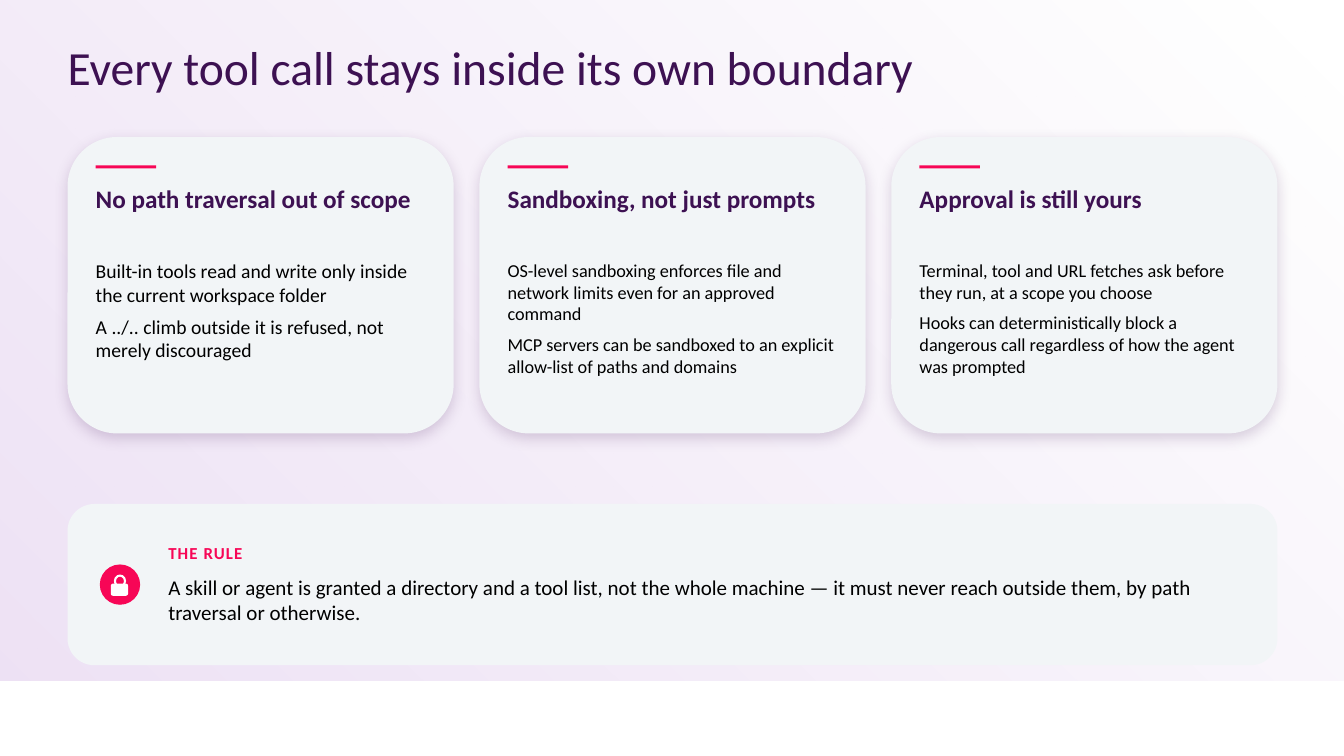
"""Builds the slide on tool call boundaries: three cards above a rule banner."""
from dataclasses import dataclass

from lxml.etree import SubElement
from pptx import Presentation
from pptx.dml.color import RGBColor
from pptx.enum.shapes import MSO_SHAPE as Preset
from pptx.enum.text import MSO_ANCHOR as Anchor, MSO_AUTO_SIZE as AutoSize, PP_ALIGN as Align
from pptx.oxml import parse_xml
from pptx.oxml.ns import nsdecls, qn
from pptx.shapes.autoshape import Shape
from pptx.slide import Slide
from pptx.text.text import TextFrame, _Paragraph as Paragraph, _Run as Run
from pptx.util import Inches, Pt

FONT = "Calibri"
PURPLE = RGBColor(0x3D, 0x11, 0x52)
GLOW = RGBColor(0x6B, 0x04, 0xA8)
PINK = RGBColor(0xF7, 0x06, 0x56)
PALE = RGBColor(0xF2, 0xF5, 0xF7)
BLACK = RGBColor(0x00, 0x00, 0x00)
WHITE = RGBColor(0xFF, 0xFF, 0xFF)

MARGIN, CONTENT_WIDTH = 0.67, 12
CARD_TOP, CARD_WIDTH, CARD_HEIGHT, CARD_INSET = 1.36, 3.83, 2.94, 0.28


@dataclass(frozen=True)
class Box:
    left: float
    top: float
    width: float
    height: float


@dataclass(frozen=True)
class TextStyle:
    size: float
    color: RGBColor
    bold: bool = False


@dataclass(frozen=True)
class Card:
    heading: str
    points: tuple[str, ...]
    point_size: float


CARDS = (
    Card("No path traversal out of scope", (
        "Built-in tools read and write only inside the current workspace folder",
        "A ../.. climb outside it is refused, not merely discouraged",
    ), 14),
    Card("Sandboxing, not just prompts", (
        "OS-level sandboxing enforces file and network limits even for an approved command",
        "MCP servers can be sandboxed to an explicit allow-list of paths and domains",
    ), 13),
    Card("Approval is still yours", (
        "Terminal, tool and URL fetches ask before they run, at a scope you choose",
        "Hooks can deterministically block a dangerous call regardless of how the agent was prompted",
    ), 13),
)


def inches(box: Box) -> tuple[Inches, Inches, Inches, Inches]:
    return Inches(box.left), Inches(box.top), Inches(box.width), Inches(box.height)


def add_block(slide: Slide, preset: Preset, box: Box, color: RGBColor | None) -> Shape:
    block = slide.shapes.add_shape(preset, *inches(box))
    block.shadow.inherit = False
    block.line.fill.background()
    if color is None:
        block.fill.background()
    else:
        block.fill.solid()
        block.fill.fore_color.rgb = color
    return block


def add_run(paragraph: Paragraph, wording: str, style: TextStyle) -> Run:
    run = paragraph.add_run()
    run.text = wording
    run.font.name = FONT
    run.font.size = Pt(style.size)
    run.font.bold = style.bold
    run.font.color.rgb = style.color
    return run


def clear_margins(frame: TextFrame) -> None:
    frame.margin_left = frame.margin_top = frame.margin_right = frame.margin_bottom = 0
    frame.word_wrap = True


def add_text(slide: Slide, box: Box, lines: tuple[str, ...], style: TextStyle,
             space_after: float = 0) -> list[Run]:
    frame = slide.shapes.add_textbox(*inches(box)).text_frame
    clear_margins(frame)
    frame.auto_size = AutoSize.SHAPE_TO_FIT_TEXT
    runs = []
    for index, line in enumerate(lines):
        paragraph = frame.add_paragraph() if index else frame.paragraphs[0]
        paragraph.space_after = Pt(space_after)
        runs.append(add_run(paragraph, line, style))
    return runs


def add_shadow(block: Shape) -> None:
    effects = block.element.spPr.find(qn("a:effectLst"))
    shadow = SubElement(effects, qn("a:outerShdw"), blurRad=str(Pt(10.1)), dist=str(Pt(3.6)),
                        dir="5400000", algn="t", rotWithShape="0")
    tint = SubElement(shadow, qn("a:srgbClr"), val=str(PURPLE))
    SubElement(tint, qn("a:alpha"), val="18000")


def add_backdrop(slide: Slide) -> None:
    backdrop = add_block(slide, Preset.RECTANGLE, Box(0, 0, 13.33, 6.75), GLOW)
    properties = backdrop.element.spPr
    stops = "".join(
        f'<a:gs pos="{position}"><a:srgbClr val="{GLOW}"><a:alpha val="{alpha}"/></a:srgbClr></a:gs>'
        for position, alpha in ((0, 12000), (100000, 0)))
    gradient = parse_xml(
        f'<a:gradFill {nsdecls("a")} rotWithShape="1"><a:gsLst>{stops}</a:gsLst>'
        '<a:path path="circle"><a:fillToRect l="0" t="100000" r="100000" b="0"/></a:path></a:gradFill>')
    properties.replace(properties.find(qn("a:solidFill")), gradient)
    slide.shapes.title.element.addprevious(backdrop.element)


def set_title(slide: Slide, wording: str) -> None:
    title = slide.shapes.title
    title.left, title.top, title.width, title.height = inches(Box(MARGIN, 0.28, CONTENT_WIDTH, 0.88))
    frame = title.text_frame
    clear_margins(frame)
    frame.auto_size = AutoSize.NONE
    frame.vertical_anchor = Anchor.MIDDLE
    paragraph = frame.paragraphs[0]
    paragraph.alignment = Align.LEFT
    paragraph.line_spacing = 0.75
    add_run(paragraph, wording, TextStyle(34, PURPLE))


def add_card(slide: Slide, card: Card, left: float) -> None:
    panel = add_block(slide, Preset.ROUNDED_RECTANGLE, Box(left, CARD_TOP, CARD_WIDTH, CARD_HEIGHT), PALE)
    add_shadow(panel)
    inner_left, inner_width = left + CARD_INSET, CARD_WIDTH - 2 * CARD_INSET
    add_block(slide, Preset.RECTANGLE, Box(inner_left, CARD_TOP + CARD_INSET, 0.6, 0.03), PINK)
    add_text(slide, Box(inner_left, 1.82, inner_width, 0.62), (card.heading,), TextStyle(18, PURPLE, True))
    add_text(slide, Box(inner_left, 2.57, inner_width, 1.46), card.points,
             TextStyle(card.point_size, BLACK), space_after=6)


def add_rule(slide: Slide) -> None:
    add_block(slide, Preset.ROUNDED_RECTANGLE, Box(MARGIN, 5, CONTENT_WIDTH, 1.6), PALE)
    add_block(slide, Preset.OVAL, Box(0.99, 5.6, 0.4, 0.4), PINK)
    shackle = add_block(slide, Preset.OVAL, Box(1.14, 5.71, 0.1, 0.11), None)
    shackle.line.color.rgb = WHITE
    shackle.line.width = Pt(1.5)
    add_block(slide, Preset.ROUNDED_RECTANGLE, Box(1.1, 5.79, 0.17, 0.12), WHITE)
    label, = add_text(slide, Box(1.67, 5.38, 2.2, 0.26), ("THE RULE",), TextStyle(12, PINK, True))
    label.font._element.set("spc", "80")
    add_text(slide, Box(1.67, 5.7, 10.5, 0.52), (
        "A skill or agent is granted a directory and a tool list, not the whole machine — "
        "it must never reach outside them, by path traversal or otherwise.",), TextStyle(15, BLACK))


def main() -> None:
    deck = Presentation()
    deck.slide_width, deck.slide_height = Inches(13.33), Inches(7.5)
    slide = deck.slides.add_slide(deck.slide_layouts[5])
    add_backdrop(slide)
    set_title(slide, "Every tool call stays inside its own boundary")
    pitch = (CONTENT_WIDTH - CARD_WIDTH) / (len(CARDS) - 1)
    for index, card in enumerate(CARDS):
        add_card(slide, card, MARGIN + index * pitch)
    add_rule(slide)
    deck.save("out.pptx")


if __name__ == "__main__":
    main()
